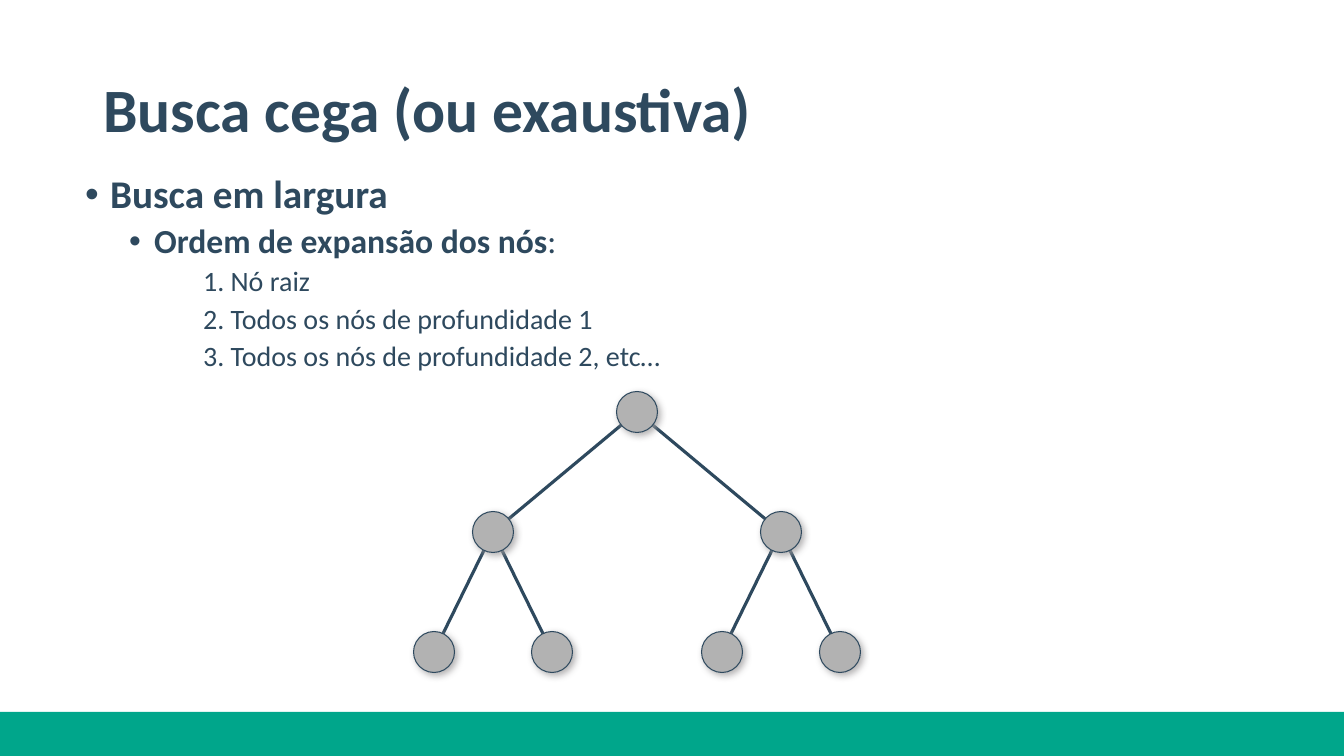
from lxml import etree
from pptx import Presentation
from pptx.dml.color import RGBColor
from pptx.enum.shapes import MSO_CONNECTOR, MSO_SHAPE
from pptx.enum.text import MSO_ANCHOR, MSO_AUTO_SIZE, PP_ALIGN
from pptx.oxml import parse_xml
from pptx.oxml.ns import qn
from pptx.util import Pt

RECT, OVAL = MSO_SHAPE.RECTANGLE, MSO_SHAPE.OVAL
STRAIGHT = MSO_CONNECTOR.STRAIGHT
LEFT, TOP, MIDDLE = PP_ALIGN.LEFT, MSO_ANCHOR.TOP, MSO_ANCHOR.MIDDLE
NO_FIT = MSO_AUTO_SIZE.NONE

# Content: lengths in px, text sizes in points
WIDE, HIGH = 1344, 756
SCALE = 12192000 / WIDE
INK, GREEN, GRAY, SHADE = "2E495E", "00A68B", "B2B2B2", "9F9D9E"
FACE = "Calibri"
BAND = (0, 712, WIDE, 44)
TITLE = "Busca cega (ou exaustiva)"
TITLE_BOX = (93, 40, 1159, 146)
BODY_BOX = (24, 170, 958, 365)
BODY = [  # level, runs of (text, bold)
    (0, [("Busca em largura", True)]),
    (1, [("Ordem de expansão dos nós", True), (":", False)]),
    (2, [("1. Nó raiz", False)]),
    (2, [("2. Todos os nós de profundidade 1", False)]),
    (2, [("3. Todos os nós de profundidade 2, etc…", False)]),
]
LEVELS = [  # size, left margin, hanging indent
    (28, 76, 25),
    (24, 120, 25),
    (20, 169, 0),
]
ROOT = (637, 412)
SPREAD = [144, 59]  # sideways step to the children, by depth
DROP = 120
NODE = 41
NS = 'xmlns:a="http://schemas.openxmlformats.org/drawingml/2006/main"'
SHADOW = (
    f'<a:effectLst {NS}><a:outerShdw blurRad="63500" dist="38100" dir="2700000">'
    f'<a:srgbClr val="{SHADE}"><a:alpha val="75000"/></a:srgbClr>'
    "</a:outerShdw></a:effectLst>"
)
FLAT = f"<a:effectLst {NS}/>"


def px(n):
    return round(n * SCALE)


def color(code):
    return RGBColor.from_string(code)


def place(shape, box):
    for name, n in zip(("left", "top", "width", "height"), box):
        setattr(shape, name, px(n))


def style(run, size, bold):
    form = {"name": FACE, "size": Pt(size), "bold": bold}
    for name, value in form.items():
        setattr(run.font, name, value)
    run.font.color.rgb = color(INK)


def setup(frame, form):
    for name, value in form.items():
        setattr(frame, name, value)


def bullet(para, margin, hang):
    props = para._p.get_or_add_pPr()
    props.set("marL", str(px(margin)))
    props.set("indent", str(-px(hang)))
    if not hang:
        etree.SubElement(props, qn("a:buNone"))
        return
    tint = etree.SubElement(props, qn("a:buClr"))
    etree.SubElement(tint, qn("a:srgbClr"), val=INK)
    etree.SubElement(props, qn("a:buFont"), typeface="Arial")
    etree.SubElement(props, qn("a:buChar"), char="•")


def fill_title(shape):
    place(shape, TITLE_BOX)
    frame = shape.text_frame
    setup(frame, {"vertical_anchor": MIDDLE, "auto_size": NO_FIT, "word_wrap": True})
    para = frame.paragraphs[0]
    para.alignment, para.line_spacing = LEFT, 0.9
    run = para.add_run()
    run.text = TITLE
    style(run, 44, True)


def fill_body(shape):
    place(shape, BODY_BOX)
    frame = shape.text_frame
    setup(frame, {"vertical_anchor": TOP, "auto_size": NO_FIT,
                  "word_wrap": True, "margin_right": 0})
    for i, (level, runs) in enumerate(BODY):
        para = frame.add_paragraph() if i else frame.paragraphs[0]
        size, margin, hang = LEVELS[level]
        bullet(para, margin, hang)
        form = {"level": level, "alignment": LEFT, "line_spacing": 0.9,
                "space_before": Pt(5 if i else 0)}
        for name, value in form.items():
            setattr(para, name, value)
        for text, bold in runs:
            run = para.add_run()
            run.text = text
            style(run, size, bold)


def add_edge(shapes, start, end):
    edge = shapes.add_connector(STRAIGHT, *map(px, start + end))
    edge.line.color.rgb = color(INK)
    edge.line.width = Pt(2.25)
    edge._element.spPr.append(parse_xml(FLAT))


def add_node(shapes, x, y):
    box = (x - NODE / 2, y - NODE / 2, NODE, NODE)
    node = shapes.add_shape(OVAL, *map(px, box))
    node.fill.solid()
    node.fill.fore_color.rgb = color(GRAY)
    node.line.color.rgb = color(INK)
    node.line.width = Pt(0.75)
    node._element.spPr.append(parse_xml(SHADOW))


def add_tree(shapes):
    """Draw all edges first so that the nodes cover their ends."""
    nodes, row = [ROOT], [ROOT]
    for step in SPREAD:
        below = []
        for x, y in row:
            for side in (-step, step):
                child = (x + side, y + DROP)
                add_edge(shapes, (x, y), child)
                below.append(child)
        nodes += below
        row = below
    for x, y in nodes:
        add_node(shapes, x, y)


def main():
    deck = Presentation()
    deck.slide_width, deck.slide_height = px(WIDE), px(HIGH)
    slide = deck.slides.add_slide(deck.slide_layouts[1])
    shapes = slide.shapes
    band = shapes.add_shape(RECT, *map(px, BAND))
    band.shadow.inherit = False
    band.fill.solid()
    band.fill.fore_color.rgb = color(GREEN)
    band.line.fill.background()
    fill_title(shapes.title)
    fill_body(slide.placeholders[1])
    add_tree(shapes)
    deck.save("out.pptx")


if __name__ == "__main__":
    main()
